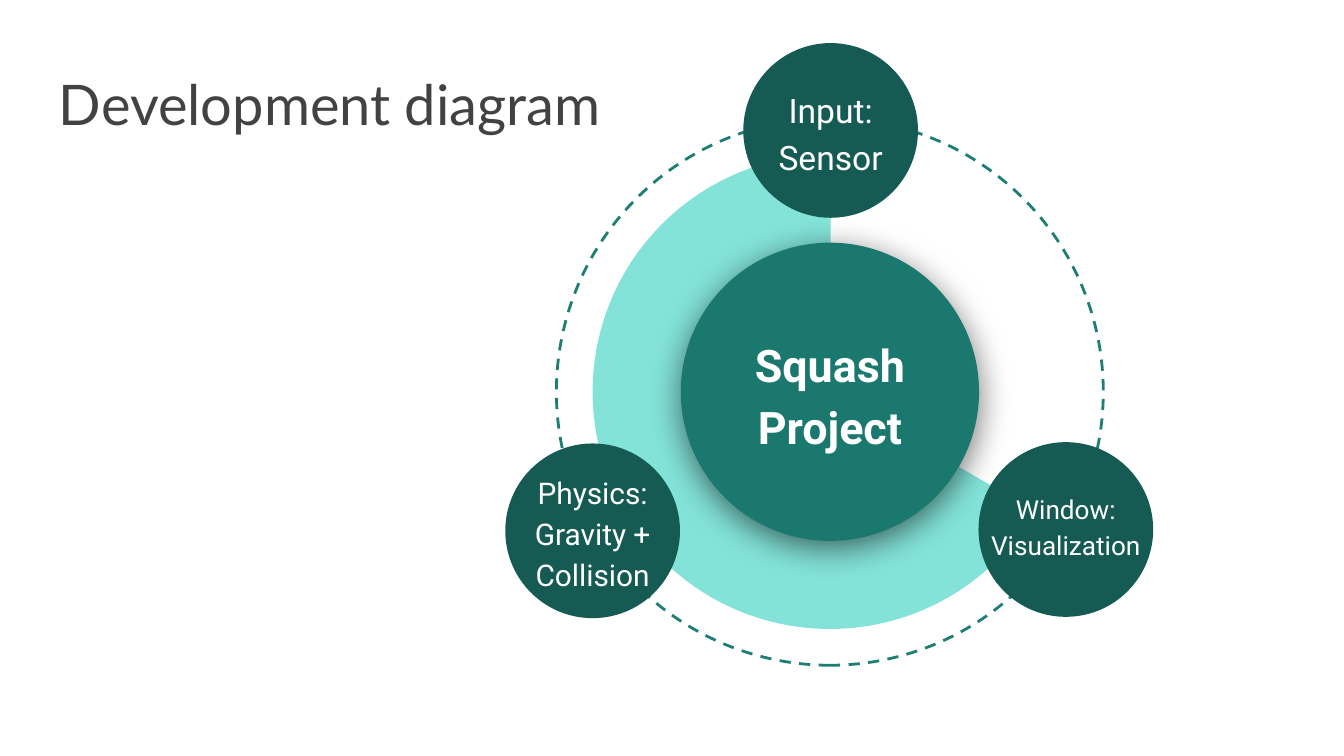
from dataclasses import dataclass

from lxml.etree import SubElement
from pptx import Presentation
from pptx.dml.color import RGBColor
from pptx.enum.dml import MSO_LINE
from pptx.enum.shapes import MSO_SHAPE
from pptx.enum.text import MSO_ANCHOR, PP_ALIGN
from pptx.oxml.ns import qn
from pptx.util import Pt

COLORS = {
    "title": "424242",
    "ring": "1D7E74",
    "pie": "83E3D9",
    "hub": "1B786E",
    "node": "155B54",
    "white": "FFFFFF",
    "shade": "000000",
}
MID_X, MID_Y = 444.6, 209.9
NODE = 93.6
INSET = 7.2


@dataclass
class Node:
    x: float
    y: float
    text: str
    size: float
    width: float = NODE
    shift: float = 0


NODES = [
    Node(445, 69.9, "Input: Sensor", 18),
    Node(317.5, 284.4, "Physics: Gravity + Collision", 16),
    Node(571, 283.7, "Window: Visualization", 14, 99.4, -2.5),
]


def tint(name: str) -> RGBColor:
    return RGBColor.from_string(COLORS[name])


def add_disc(slide, x: float, y: float, size: float, fill: str = "",
             kind=MSO_SHAPE.OVAL):
    disc = slide.shapes.add_shape(
        kind, Pt(x - size / 2), Pt(y - size / 2), Pt(size), Pt(size))
    disc.shadow.inherit = False
    disc.line.fill.background()
    if fill:
        disc.fill.solid()
        disc.fill.fore_color.rgb = tint(fill)
    else:
        disc.fill.background()
    return disc


def add_text(slide, left: float, top: float, width: float, height: float,
             text: str, size: float, font: str = "Roboto",
             color: str = "white", bold: bool = False,
             align=PP_ALIGN.CENTER, anchor=MSO_ANCHOR.MIDDLE,
             space: float = 1.15) -> None:
    box = slide.shapes.add_textbox(Pt(left), Pt(top), Pt(width), Pt(height))
    frame = box.text_frame
    frame.word_wrap = True
    frame.vertical_anchor = anchor
    frame.margin_left = frame.margin_right = Pt(INSET)
    frame.margin_top = frame.margin_bottom = Pt(INSET)
    para = frame.paragraphs[0]
    para.alignment = align
    para.line_spacing = space
    run = para.add_run()
    run.text = text
    run.font.name = font
    run.font.size = Pt(size)
    run.font.bold = bold
    run.font.color.rgb = tint(color)


def add_shade(shape, blur: float, drop: float, turn: int, alpha: int) -> None:
    list_el = shape._element.spPr.find(qn("a:effectLst"))
    shade = SubElement(list_el, qn("a:outerShdw"), blurRad=str(Pt(blur)),
                       dist=str(Pt(drop)), dir=str(turn * 60000),
                       algn="ctr", rotWithShape="0")
    color = SubElement(shade, qn("a:srgbClr"), val=COLORS["shade"])
    SubElement(color, qn("a:alpha"), val=str(alpha * 1000))


def add_node(slide, node: Node) -> None:
    add_disc(slide, node.x, node.y, NODE, "node")
    add_text(slide, node.x - node.width / 2,
             node.y - NODE / 2 + node.shift,
             node.width, NODE, node.text, node.size)


def main() -> None:
    deck = Presentation()
    deck.slide_width, deck.slide_height = Pt(720), Pt(405)
    slide = deck.slides.add_slide(deck.slide_layouts[6])

    add_text(slide, 24.5, 23, 671, 57.6, "Development diagram", 30, "Lato",
             "title", align=PP_ALIGN.LEFT, anchor=MSO_ANCHOR.BOTTOM, space=1)

    ring = add_disc(slide, MID_X, MID_Y, 293)
    ring.rotation = 270
    ring.line.color.rgb = tint("ring")
    ring.line.width = Pt(1.5)
    ring.line.dash_style = MSO_LINE.DASH

    pie = add_disc(slide, MID_X, MID_Y, 254.2, "pie", MSO_SHAPE.PIE)
    for spot, angle in enumerate((30.2, 270.25)):
        pie.adjustments[spot] = angle * 0.6

    hub = add_disc(slide, MID_X, MID_Y, 159.8, "hub")
    add_shade(hub, blur=18, drop=4, turn=90, alpha=55)
    add_text(slide, MID_X - 59, MID_Y - 36.4, 118, 72.8,
             "Squash Project", 24, bold=True)

    for node in NODES:
        add_node(slide, node)

    deck.save("out.pptx")


if __name__ == "__main__":
    main()
